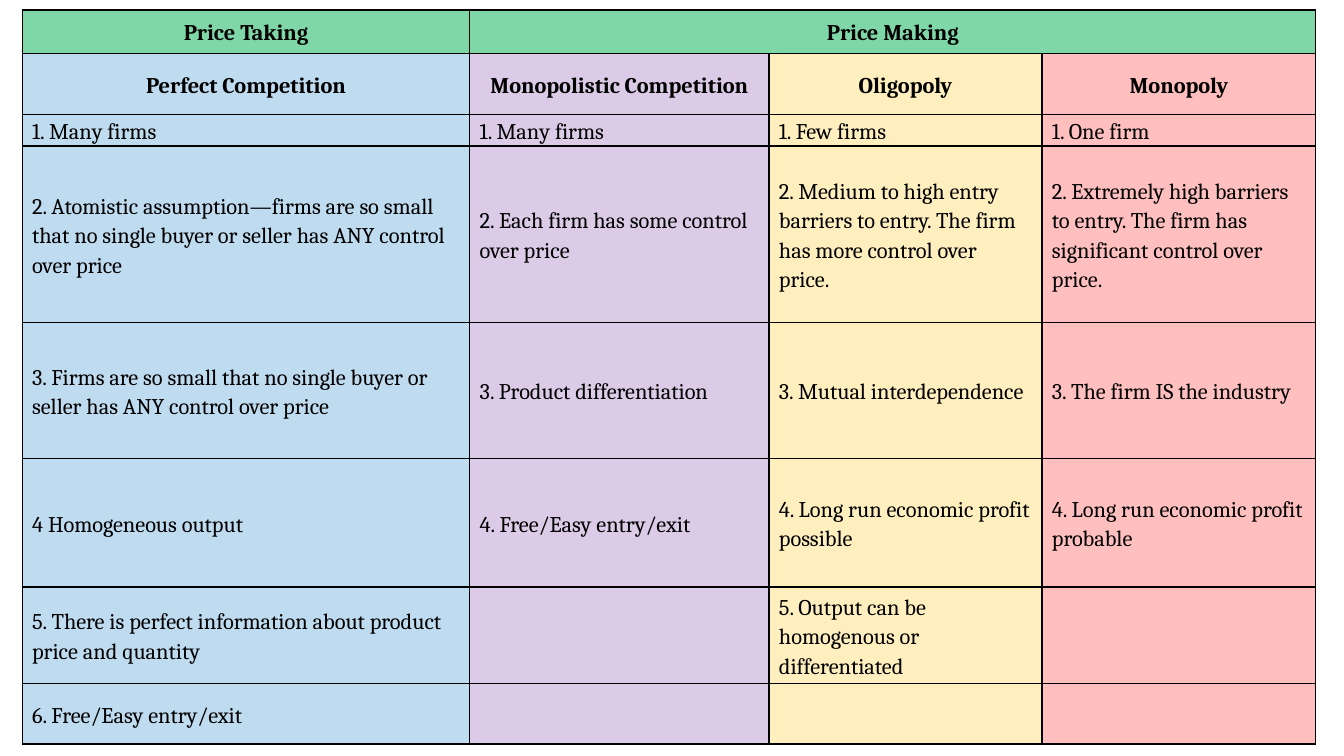
from lxml import etree
from pptx import Presentation, util as u
from pptx.dml.color import RGBColor
from pptx.enum import text
from pptx.oxml import ns

# Content
GROUPS = [("Price Taking", 0, 0), ("Price Making", 1, 3)]  # title, first and last column
GROUP_FILL = ("00B050", 50)  # colour, opacity in percent
MARKETS = [
    ("Perfect Competition", "0070C0", 11.28, [
        "1. Many firms",
        "2. Atomistic assumption—firms are so small that no single buyer or seller "
        "has ANY control over price",
        "3. Firms are so small that no single buyer or seller has ANY control over price",
        "4 Homogeneous output",
        "5. There is perfect information about product price and quantity",
        "6. Free/Easy entry/exit"]),
    ("Monopolistic Competition", "7030A0", 7.54, [
        "1. Many firms",
        "2. Each firm has some control over price",
        "3. Product differentiation",
        "4. Free/Easy entry/exit", "", ""]),
    ("Oligopoly", "FFC000", 6.88, [
        "1. Few firms",
        "2. Medium to high entry barriers to entry. The firm has more control over price.",
        "3. Mutual interdependence",
        "4. Long run economic profit possible",
        "5. Output can be homogenous or differentiated", ""]),
    ("Monopoly", "FF0000", 6.9, [
        "1. One firm",
        "2. Extremely high barriers to entry. The firm has significant control over price.",
        "3. The firm IS the industry",
        "4. Long run economic profit probable", "", ""]),
]
MARKET_OPACITY = 25
ROW_HEIGHTS = [1.09, 1.55, 0.79, 4.45, 3.43, 3.23, 2.44, 1.52]
LEFT, TOP = 0.56, 0.25
FONT, SIZE, BLACK = "Cambria", 16, "000000"


def color(hex_text):
    return RGBColor.from_string(hex_text)


def fill_cell(cell, hex_text, opacity):
    cell.fill.solid()
    cell.fill.fore_color.rgb = color(hex_text)
    tc_pr = cell._tc.get_or_add_tcPr()
    rgb = tc_pr.find(ns.qn("a:solidFill")).find(ns.qn("a:srgbClr"))
    etree.SubElement(rgb, ns.qn("a:alpha"), val=str(opacity * 1000))
    # Borders come before the fill
    for i, side in enumerate("LRTB"):
        line = etree.Element(ns.qn(f"a:ln{side}"), w=str(u.Pt(1)))
        line_fill = etree.SubElement(line, ns.qn("a:solidFill"))
        etree.SubElement(line_fill, ns.qn("a:srgbClr"), val=BLACK)
        tc_pr.insert(i, line)


def write_cell(cell, words, heading=False):
    cell.vertical_anchor = text.MSO_ANCHOR.MIDDLE
    cell.margin_left = cell.margin_right = u.Cm(0.25)
    cell.margin_top = cell.margin_bottom = 0
    if not words:
        return
    p = cell.text_frame.paragraphs[0]
    p.line_spacing = 1.15
    p.alignment = text.PP_ALIGN.CENTER if heading else text.PP_ALIGN.LEFT
    r = p.add_run()
    r.text = words
    r.font.name, r.font.size, r.font.bold = FONT, u.Pt(SIZE), heading
    r.font.color.rgb = color(BLACK)


prs = Presentation()
prs.slide_width, prs.slide_height = u.Cm(33.87), u.Cm(19.05)
s = prs.slides.add_slide(prs.slide_layouts[6])

# Table grid
widths = [market[2] for market in MARKETS]
table = s.shapes.add_table(len(ROW_HEIGHTS), len(MARKETS), u.Cm(LEFT), u.Cm(TOP),
                           u.Cm(sum(widths)), u.Cm(sum(ROW_HEIGHTS))).table
table.first_row = table.horz_banding = False
for column, width in zip(table.columns, widths):
    column.width = u.Cm(width)
for row, height in zip(table.rows, ROW_HEIGHTS):
    row.height = u.Cm(height)

# Group headings
for title, first, last in GROUPS:
    for col in range(first, last + 1):
        fill_cell(table.cell(0, col), *GROUP_FILL)
    if last > first:
        table.cell(0, first).merge(table.cell(0, last))
    write_cell(table.cell(0, first), title, heading=True)

# Market columns
for col, (name, hue, _, traits) in enumerate(MARKETS):
    for row, words in enumerate([name] + traits, start=1):
        cell = table.cell(row, col)
        fill_cell(cell, hue, MARKET_OPACITY)
        write_cell(cell, words, heading=row == 1)

prs.save("out.pptx")
